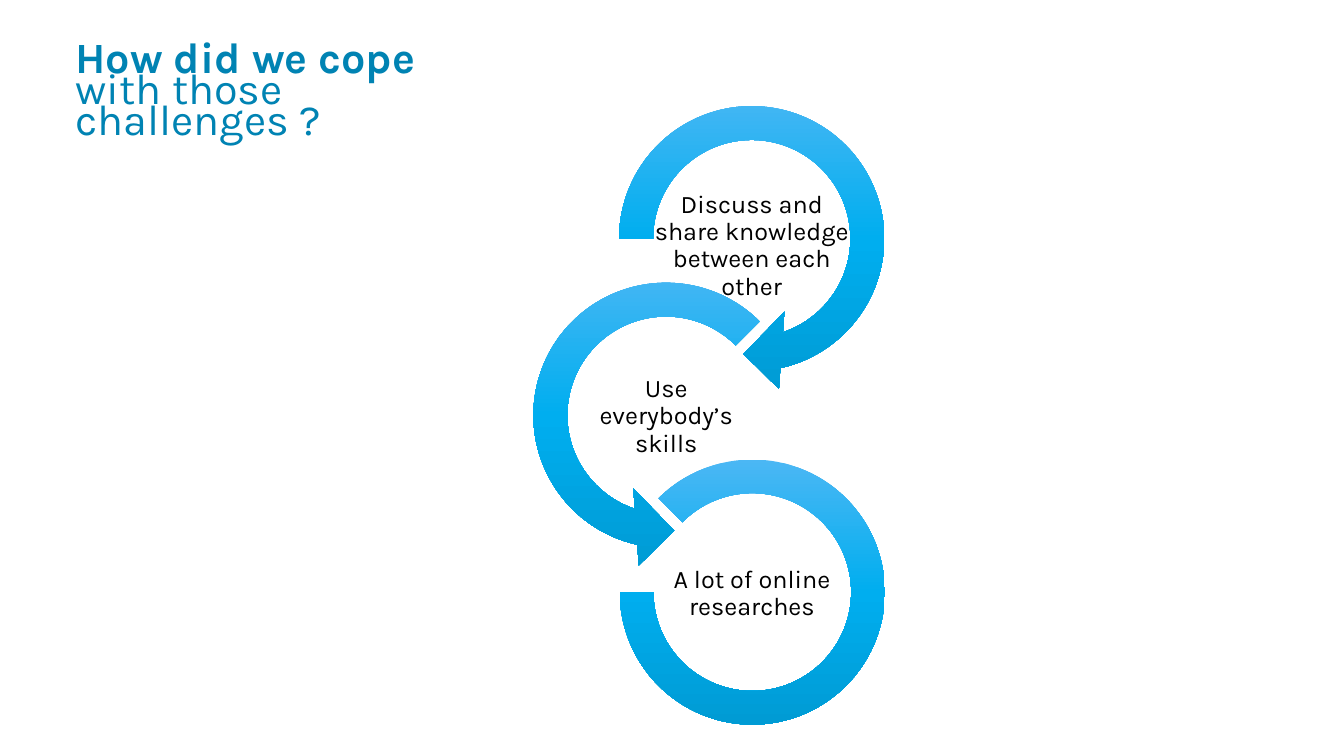
"""Build the slide on how the team coped with its challenges."""
import copy
from dataclasses import dataclass

import pptx
import pptx.dml.color
import pptx.enum.shapes
import pptx.enum.text
import pptx.oxml.ns
import pptx.shapes.autoshape
import pptx.slide
import pptx.text.text
import pptx.util

Cm = pptx.util.Cm
Pt = pptx.util.Pt
RGBColor = pptx.dml.color.RGBColor
MSO_SHAPE = pptx.enum.shapes.MSO_SHAPE
MSO_ANCHOR = pptx.enum.text.MSO_ANCHOR
PP_ALIGN = pptx.enum.text.PP_ALIGN

FONT = "Karla"
TITLE_BLUE = RGBColor(0x00, 0x83, 0xB3)
BLACK = RGBColor(0x00, 0x00, 0x00)
RING_STOPS = (
    (0, RGBColor(0x4B, 0xB7, 0xF4)),
    (0.5, RGBColor(0x00, 0xAE, 0xEF)),
    (1, RGBColor(0x00, 0x9B, 0xD4)),
)


@dataclass(frozen=True)
class Box:
    left: float
    top: float
    width: float
    height: float

    def lengths(self) -> tuple[int, int, int, int]:
        return Cm(self.left), Cm(self.top), Cm(self.width), Cm(self.height)


@dataclass(frozen=True)
class Step:
    kind: MSO_SHAPE
    ring: Box
    adjustments: tuple[float, ...]
    label: Box
    text: str


TITLE_BOX = Box(1.65, 0.91, 11.07, 2.79)
STEPS = (
    Step(MSO_SHAPE.CIRCULAR_ARROW, Box(15.06, 2.13, 7.77, 7.77),
         (0.11, 11.42, 45, 108, 0.125), Box(16.33, 4.72, 5.23, 2.97),
         "Discuss and share knowledge between each other"),
    Step(MSO_SHAPE.LEFT_CIRCULAR_ARROW, Box(12.9, 6.58, 7.77, 7.77),
         (0.11, 11.42, 63, 189, 0.125), Box(14.63, 9.42, 4.32, 2.16),
         "Use everybody’s skills"),
    Step(MSO_SHAPE.BLOCK_ARC, Box(15.62, 11.58, 6.68, 6.68),
         (135, 108, 0.127), Box(16.79, 13.89, 4.32, 2.16),
         "A lot of online researches"),
)


def format_run(r: pptx.text.text._Run, size: float, color: RGBColor, bold: bool = False) -> None:
    r.font.name = FONT
    r.font.size = Pt(size)
    r.font.bold = bold
    r.font.color.rgb = color


def fill_ring(sp: pptx.shapes.autoshape.Shape) -> None:
    sp.fill.gradient()
    sp.fill.gradient_angle = 270
    stops = sp.element.spPr.find(".//" + pptx.oxml.ns.qn("a:gsLst"))
    stops.append(copy.deepcopy(stops[0]))
    for stop, (position, color) in zip(sp.fill.gradient_stops, RING_STOPS):
        stop.position = position
        stop.color.rgb = color


def add_title(s: pptx.slide.Slide) -> None:
    sp = s.shapes.title
    sp.left, sp.top, sp.width, sp.height = TITLE_BOX.lengths()
    tf = sp.text_frame
    tf.word_wrap = True
    tf.auto_size = pptx.enum.text.MSO_AUTO_SIZE.NONE
    tf.vertical_anchor = MSO_ANCHOR.BOTTOM
    p = tf.paragraphs[0]
    p.alignment = PP_ALIGN.LEFT
    p.line_spacing = 0.6
    for text, bold in (("How did we cope ", True), ("with those challenges ?", False)):
        r = p.add_run()
        r.text = text
        format_run(r, 30.8, TITLE_BLUE, bold)


def add_step(s: pptx.slide.Slide, step: Step) -> None:
    sp = s.shapes.add_shape(step.kind, *step.ring.lengths())
    sp.shadow.inherit = False
    sp.line.fill.background()
    for i, value in enumerate(step.adjustments):
        sp.adjustments[i] = value
    fill_ring(sp)

    tf = s.shapes.add_textbox(*step.label.lengths()).text_frame
    tf.word_wrap = True
    tf.vertical_anchor = MSO_ANCHOR.MIDDLE
    tf.margin_left = tf.margin_right = tf.margin_top = tf.margin_bottom = Cm(0.03)
    tf.text = step.text
    p = tf.paragraphs[0]
    p.alignment = PP_ALIGN.CENTER
    p.line_spacing = 0.9
    p.space_after = Pt(6.3)
    format_run(p.runs[0], 18, BLACK)


def main() -> None:
    prs = pptx.Presentation()
    prs.slide_width, prs.slide_height = Cm(33.87), Cm(19.05)
    s = prs.slides.add_slide(prs.slide_layouts.get_by_name("Title Only"))
    for step in STEPS:
        add_step(s, step)
    add_title(s)
    prs.save("out.pptx")


if __name__ == "__main__":
    main()
